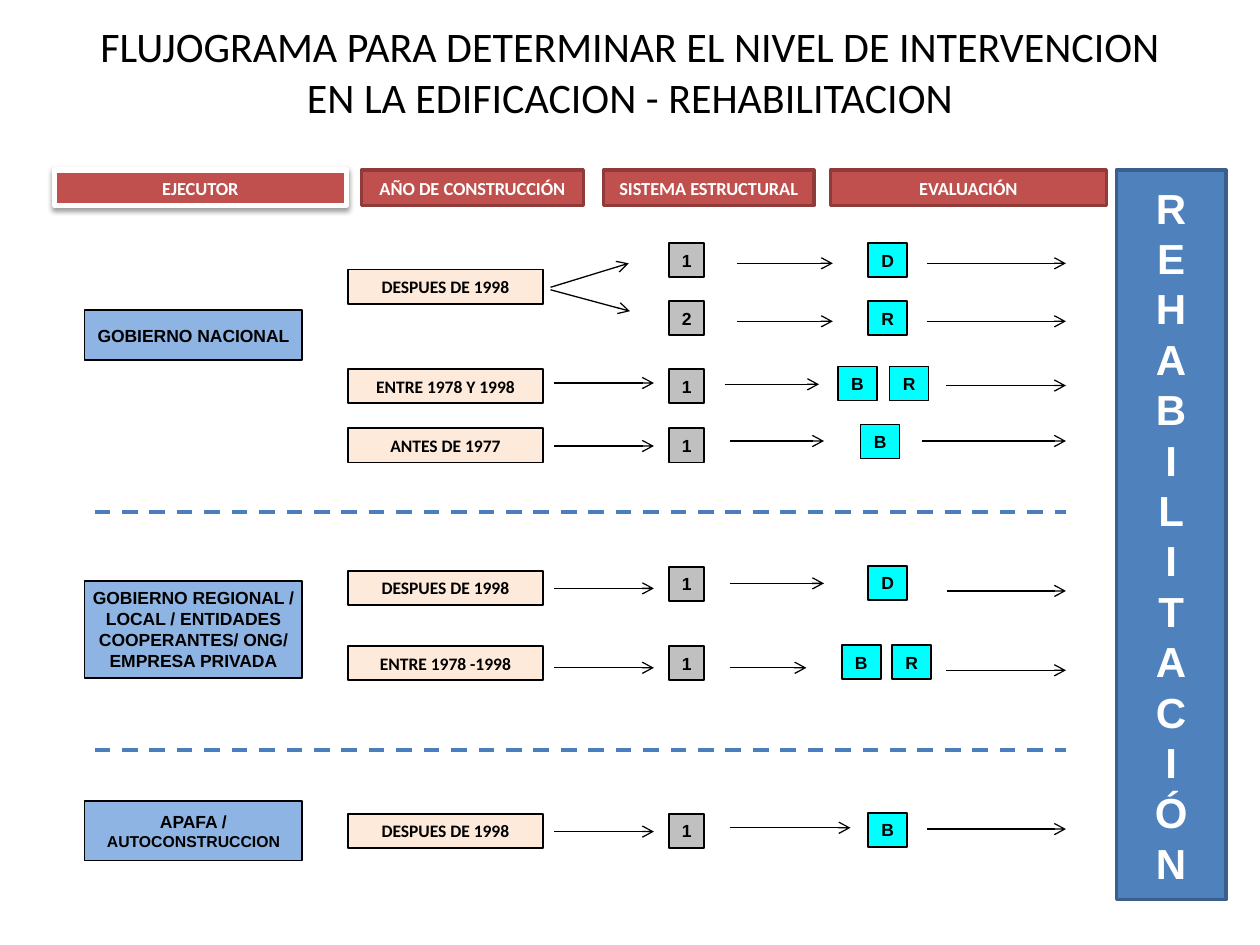
"""Build the flowchart that sets the level of building rehabilitation."""
from dataclasses import dataclass

from lxml import etree
from pptx import Presentation
from pptx.dml.color import RGBColor
from pptx.enum import dml, shapes, text
from pptx.oxml import ns
from pptx.util import Inches, Pt

BLACK = RGBColor(0, 0, 0)
WHITE = RGBColor(255, 255, 255)
SKY = RGBColor(0x8E, 0xB4, 0xE3)
PEACH = RGBColor(0xFD, 0xEA, 0xDA)
GRAY = RGBColor(0xC0, 0xC0, 0xC0)
CYAN = RGBColor(0, 255, 255)
RED = RGBColor(0xC0, 0x50, 0x4D)
WINE = RGBColor(0x8E, 0x3B, 0x39)
BLUE = RGBColor(0x4F, 0x81, 0xBD)
NAVY = RGBColor(0x3A, 0x5F, 0x8C)
DASH = RGBColor(0x4B, 0x7E, 0xBC)
FLOW = shapes.MSO_SHAPE.FLOWCHART_PROCESS
RECT = shapes.MSO_SHAPE.RECTANGLE


@dataclass(frozen=True)
class Style:
    """Look of one kind of box."""
    fill: RGBColor
    font: str = "Arial"
    size: float = 10
    ink: RGBColor = BLACK
    edge: RGBColor = BLACK
    width: float = 1
    wrap: bool = True
    form: shapes.MSO_SHAPE = FLOW


@dataclass(frozen=True)
class Box:
    """Place, size and wording of one box."""
    left: float
    top: float
    wide: float
    high: float
    words: str
    style: Style


@dataclass(frozen=True)
class Row:
    """One path: year, system, results and the level arrows."""
    top: float
    year: str
    code: str
    marks: tuple[tuple[str, float, float], ...]
    arrows: tuple[tuple[float, float, float], ...]


OWNER = Style(SKY)
YEAR = Style(PEACH, "Calibri")
CODE = Style(GRAY, wrap=False)
MARK = Style(CYAN, wrap=False)
HEAD = Style(RED, "Calibri", 10.5, WHITE, WINE, 2)
FIRST = Style(RED, "Calibri", 10.5, WHITE, WHITE, 3)
BAR = Style(BLUE, size=24, ink=WHITE, edge=NAVY, width=2, form=RECT)

END = 8.46
BOXES = [
    Box(0.43, 1.35, 2.32, 0.28, "EJECUTOR", FIRST),
    Box(2.87, 1.35, 1.76, 0.28, "AÑO DE CONSTRUCCIÓN", HEAD),
    Box(4.79, 1.35, 1.67, 0.28, "SISTEMA ESTRUCTURAL", HEAD),
    Box(6.59, 1.35, 2.19, 0.28, "EVALUACIÓN", HEAD),
    Box(0.67, 2.46, 1.73, 0.4, "GOBIERNO NACIONAL", OWNER),
    Box(0.67, 4.61, 1.73, 0.77, "GOBIERNO REGIONAL / LOCAL / ENTIDADES "
        "COOPERANTES/ ONG/ EMPRESA PRIVADA", OWNER),
    Box(2.76, 2.14, 1.55, 0.27, "DESPUES DE 1998", YEAR),
    Box(8.86, 1.35, 0.87, 5.79, "\n".join("REHABILITACIÓN"), BAR),
]
ROWS = [
    Row(1.93, "", "1", (("D", 6.89, 1.93),),
        ((5.85, 6.61, 2.09), (7.36, END, 2.09))),
    Row(2.39, "", "2", (("R", 6.89, 2.39),),
        ((5.85, 6.61, 2.55), (7.36, END, 2.55))),
    Row(2.93, "ENTRE 1978 Y 1998", "1", (("B", 6.65, 2.91), ("R", 7.06, 2.91)),
        ((4.4, 5.19, 3.04), (5.75, 6.5, 3.05), (7.51, END, 3.06))),
    Row(3.4, "ANTES DE 1977", "1", (("B", 6.83, 3.37),),
        ((4.4, 5.19, 3.54), (5.79, 6.54, 3.5), (7.32, END, 3.5))),
    Row(4.53, "DESPUES DE 1998", "1", (("D", 6.89, 4.49),),
        ((4.4, 5.19, 4.67), (5.79, 6.54, 4.63), (7.52, END, 4.69))),
    Row(5.13, "ENTRE 1978 -1998", "1", (("B", 6.68, 5.12), ("R", 7.08, 5.12)),
        ((4.4, 5.19, 5.3), (5.79, 6.4, 5.3), (7.51, END, 5.32))),
    Row(6.46, "DESPUES DE 1998", "1", (("B", 6.89, 6.45),),
        ((4.4, 5.19, 6.6), (5.79, 6.75, 6.57), (7.36, END, 6.58))),
]


def write(para, words: str, style: Style, size: float, bold: bool = True) -> None:
    """Add one run to a centred paragraph."""
    para.alignment = text.PP_ALIGN.CENTER
    run = para.add_run()
    run.text = words
    run.font.name = style.font
    run.font.size = Pt(size)
    run.font.bold = bold
    run.font.color.rgb = style.ink


def draw(slide, box: Box):
    """Draw a box with its text and return it."""
    style = box.style
    shape = slide.shapes.add_shape(style.form, Inches(box.left), Inches(box.top),
                                   Inches(box.wide), Inches(box.high))
    shape.shadow.inherit = False
    shape.fill.solid()
    shape.fill.fore_color.rgb = style.fill
    shape.line.color.rgb = style.edge
    shape.line.width = Pt(style.width)
    frame = shape.text_frame
    frame.word_wrap = style.wrap
    frame.vertical_anchor = text.MSO_ANCHOR.MIDDLE
    frame.margin_left = frame.margin_right = Inches(0.05)
    for i, words in enumerate(box.words.split("\n") if box.words else []):
        para = frame.add_paragraph() if i else frame.paragraphs[0]
        write(para, words, style, style.size)
    return shape


def link(slide, x: float, y: float, right: float, low: float,
         color: RGBColor = BLACK, width: float = 0.75, dash: bool = False) -> None:
    """Draw an arrow, or a dashed divider."""
    line = slide.shapes.add_connector(shapes.MSO_CONNECTOR.STRAIGHT, Inches(x),
                                      Inches(y), Inches(right), Inches(low))
    line.line.color.rgb = color
    line.line.width = Pt(width)
    if dash:
        line.line.dash_style = dml.MSO_LINE.DASH
    else:
        etree.SubElement(line.line._get_or_add_ln(), ns.qn("a:tailEnd"), type="arrow")
    etree.SubElement(line._element.spPr, ns.qn("a:effectLst"))


def shade(shape) -> None:
    """Give a box a soft shadow below."""
    glow = etree.SubElement(shape._element.spPr.find(ns.qn("a:effectLst")),
                            ns.qn("a:outerShdw"), blurRad=str(Pt(3.1)),
                            dist=str(Pt(1.6)), dir="5400000", rotWithShape="0")
    tint = etree.SubElement(glow, ns.qn("a:srgbClr"), val=str(BLACK))
    etree.SubElement(tint, ns.qn("a:alpha"), val="38000")


def trace(slide, row: Row) -> None:
    """Draw one path of the chart."""
    if row.year:
        draw(slide, Box(2.76, row.top, 1.55, 0.27, row.year, YEAR))
    draw(slide, Box(5.31, min(row.top, 4.5) if row.top < 5 else row.top,
                    0.28, 0.27, row.code, CODE))
    for words, left, top in row.marks:
        draw(slide, Box(left, top, 0.31, 0.27, words, MARK))
    for start, stop, y in row.arrows:
        link(slide, start, y, stop, y)


def main() -> None:
    """Build and save the slide."""
    deck = Presentation()
    deck.slide_width, deck.slide_height = Inches(10), Inches(7.5)
    slide = deck.slides.add_slide(deck.slide_layouts[5])
    title = slide.shapes.title
    title.left, title.top = Inches(0.5), Inches(0.22)
    title.width, title.height = Inches(9), Inches(0.69)
    title.text_frame.vertical_anchor = text.MSO_ANCHOR.MIDDLE
    write(title.text_frame.paragraphs[0], "FLUJOGRAMA PARA DETERMINAR EL NIVEL DE "
          "INTERVENCION EN LA EDIFICACION - REHABILITACION", YEAR, 24, False)
    for box in BOXES:
        shape = draw(slide, box)
        if box.style is FIRST:
            shade(shape)
    group = draw(slide, Box(0.67, 6.36, 1.73, 0.47, "", OWNER))
    for words, size in (("APAFA / ", 10), ("AUTOCONSTRUCCION", 9)):
        write(group.text_frame.paragraphs[0], words, OWNER, size)
    for row in ROWS:
        trace(slide, row)
    link(slide, 4.37, 2.28, 4.99, 2.09)
    link(slide, 4.37, 2.3, 5, 2.47)
    for y in (4.06, 5.95):
        link(slide, 0.75, y, END, y, DASH, 2.25, True)
    deck.save("out.pptx")


main()
